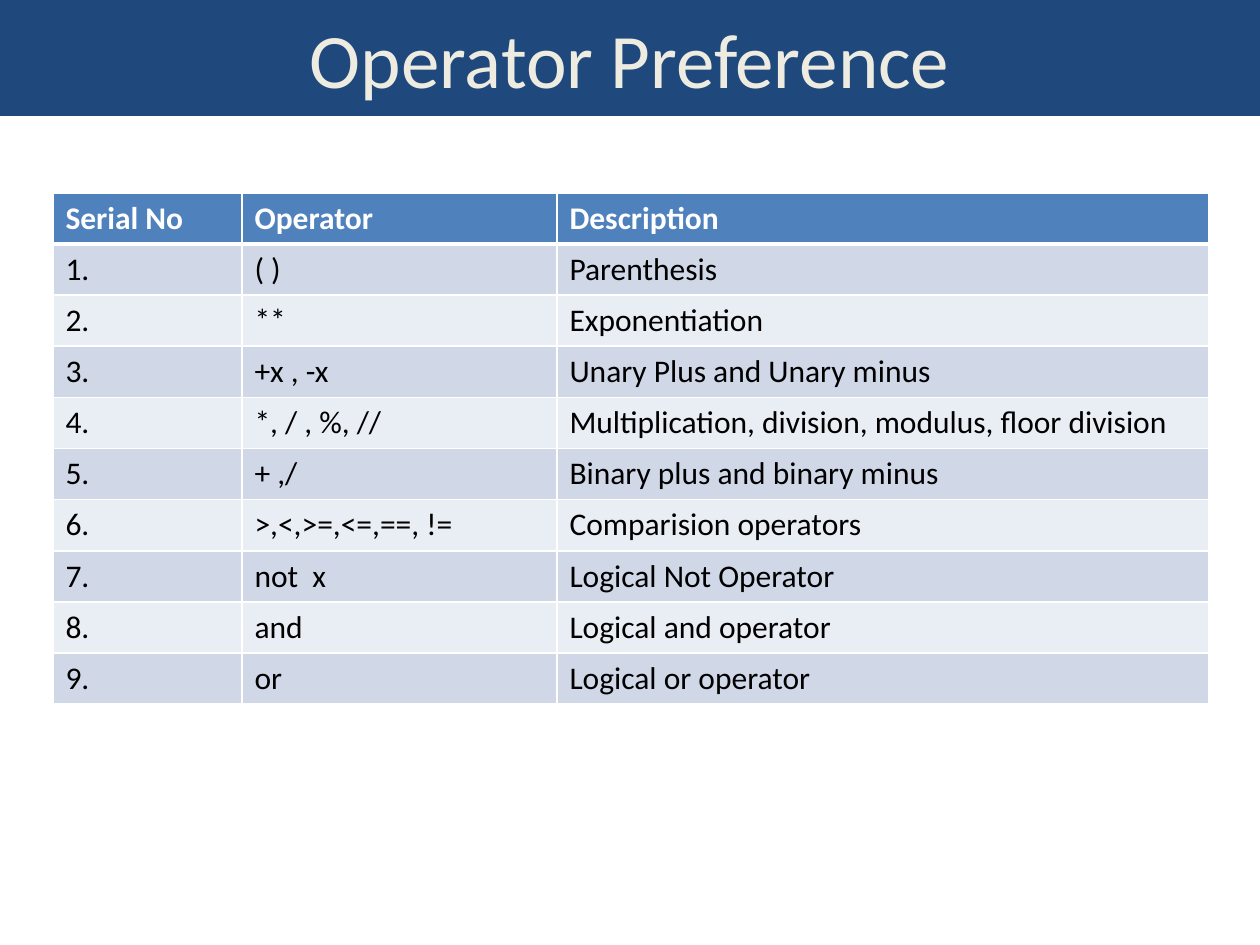
from pptx import Presentation
from pptx.dml.color import RGBColor
from pptx.enum.text import MSO_ANCHOR, PP_ALIGN
from pptx.oxml.ns import qn
from pptx.util import Inches, Pt
from lxml.etree import SubElement

FONT = "Calibri"
NAVY = RGBColor(0x1F, 0x49, 0x7D)
CREAM = RGBColor(0xEE, 0xEC, 0xE1)
BLUE = RGBColor(0x4F, 0x81, 0xBD)
BAND_DARK = RGBColor(0xD0, 0xD8, 0xE8)
BAND_LIGHT = RGBColor(0xE9, 0xED, 0xF4)
WHITE = RGBColor(0xFF, 0xFF, 0xFF)
BLACK = RGBColor(0x00, 0x00, 0x00)

COLUMN_WIDTHS = [1.5, 2.5, 5.17]
ROW_HEIGHT = 0.406
HEADINGS = ["Serial No", "Operator", "Description"]
OPERATORS = [
    ("( )", "Parenthesis"),
    ("**", "Exponentiation"),
    ("+x , -x", "Unary Plus and Unary minus"),
    ("*, / , %, //", "Multiplication, division, modulus, floor division"),
    ("+ ,/", "Binary plus and binary minus"),
    (">,<,>=,<=,==, !=", "Comparision operators"),
    ("not  x", "Logical Not Operator"),
    ("and", "Logical and operator"),
    ("or", "Logical or operator"),
]


def format_font(paragraph, size, color, bold=False):
    font = paragraph.font
    font.name, font.size, font.bold = FONT, Pt(size), bold
    font.color.rgb = color


def add_title(slide, text):
    """Fill the title placeholder and turn it into a full-width banner."""
    title = slide.shapes.title
    title.left, title.top = Inches(0), Inches(0)
    title.width, title.height = Inches(10), Inches(0.92)
    title.fill.solid()
    title.fill.fore_color.rgb = NAVY
    title.text_frame.text = text
    title.text_frame.vertical_anchor = MSO_ANCHOR.MIDDLE
    paragraph = title.text_frame.paragraphs[0]
    paragraph.alignment = PP_ALIGN.CENTER
    format_font(paragraph, 44, CREAM)


def set_borders(cell, top, bottom):
    """Draw white borders; top and bottom are widths in points."""
    properties = cell._tc.get_or_add_tcPr()
    for side, width in (("L", 1), ("R", 1), ("T", top), ("B", bottom)):
        line = SubElement(properties, qn(f"a:ln{side}"), w=str(Pt(width)))
        fill = SubElement(line, qn("a:solidFill"))
        SubElement(fill, qn("a:srgbClr"), val=str(WHITE))


def format_cell(cell, text, row_index):
    is_header = row_index == 0
    # A thick rule separates the header from the first row
    set_borders(cell, 3 if row_index == 1 else 1, 3 if is_header else 1)
    cell.fill.solid()
    band = BAND_DARK if row_index % 2 else BAND_LIGHT
    cell.fill.fore_color.rgb = BLUE if is_header else band
    cell.text = text
    format_font(cell.text_frame.paragraphs[0], 18,
                WHITE if is_header else BLACK, is_header)


def add_operator_table(slide):
    rows = [HEADINGS]
    rows += [(f"{number}.", *entry) for number, entry in enumerate(OPERATORS, 1)]
    table = slide.shapes.add_table(
        len(rows), len(HEADINGS), Inches(0.42), Inches(1.53),
        Inches(sum(COLUMN_WIDTHS)), Inches(ROW_HEIGHT * len(rows))).table
    for column, width in zip(table.columns, COLUMN_WIDTHS):
        column.width = Inches(width)
    for row_index, texts in enumerate(rows):
        for column_index, text in enumerate(texts):
            format_cell(table.cell(row_index, column_index), text, row_index)


def main():
    presentation = Presentation()
    presentation.slide_width, presentation.slide_height = Inches(10), Inches(7.5)
    slide = presentation.slides.add_slide(presentation.slide_layouts[0])

    # The subtitle is not used
    subtitle = slide.placeholders[1].element
    subtitle.getparent().remove(subtitle)

    add_title(slide, "Operator Preference")
    add_operator_table(slide)
    presentation.save("out.pptx")


if __name__ == "__main__":
    main()
